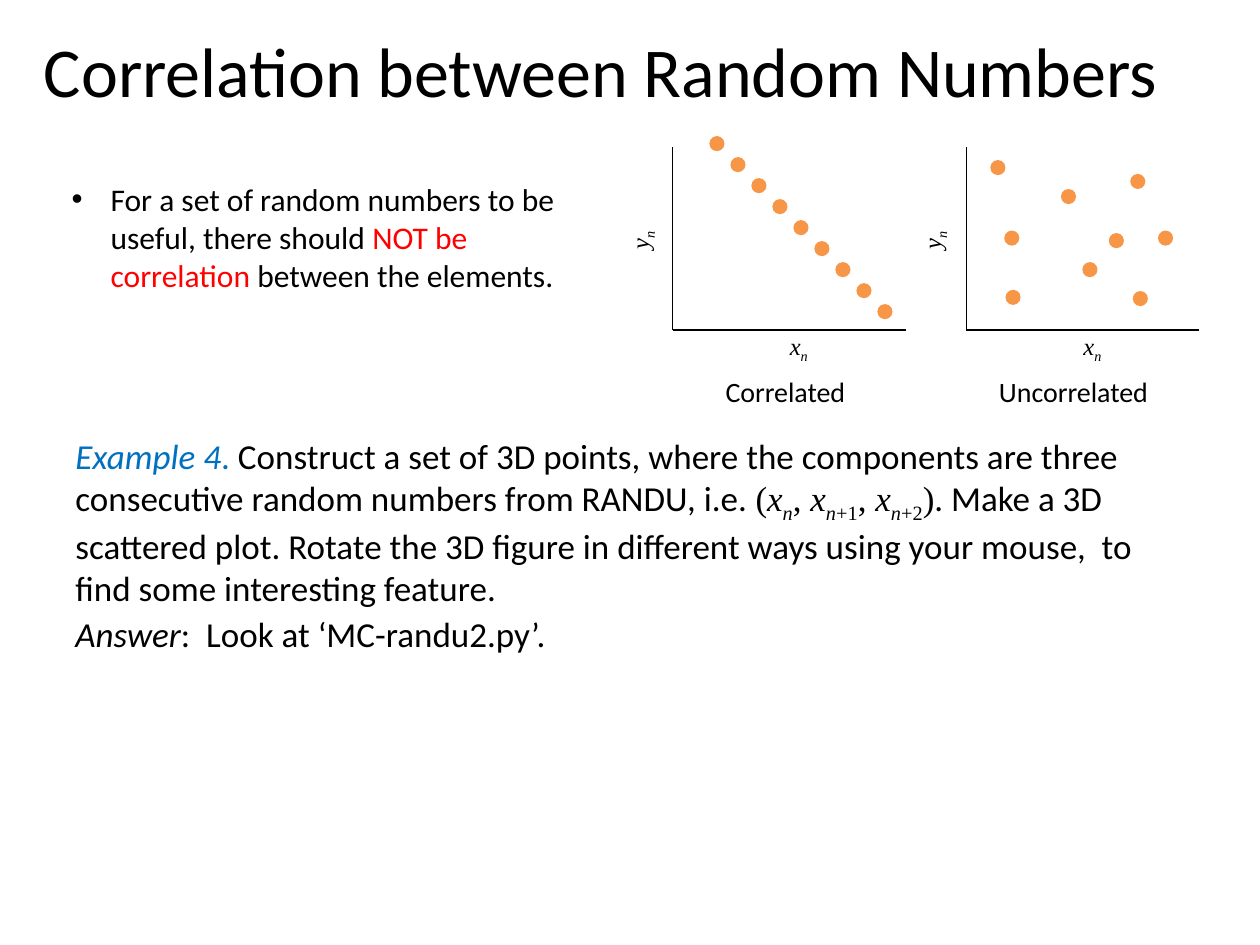
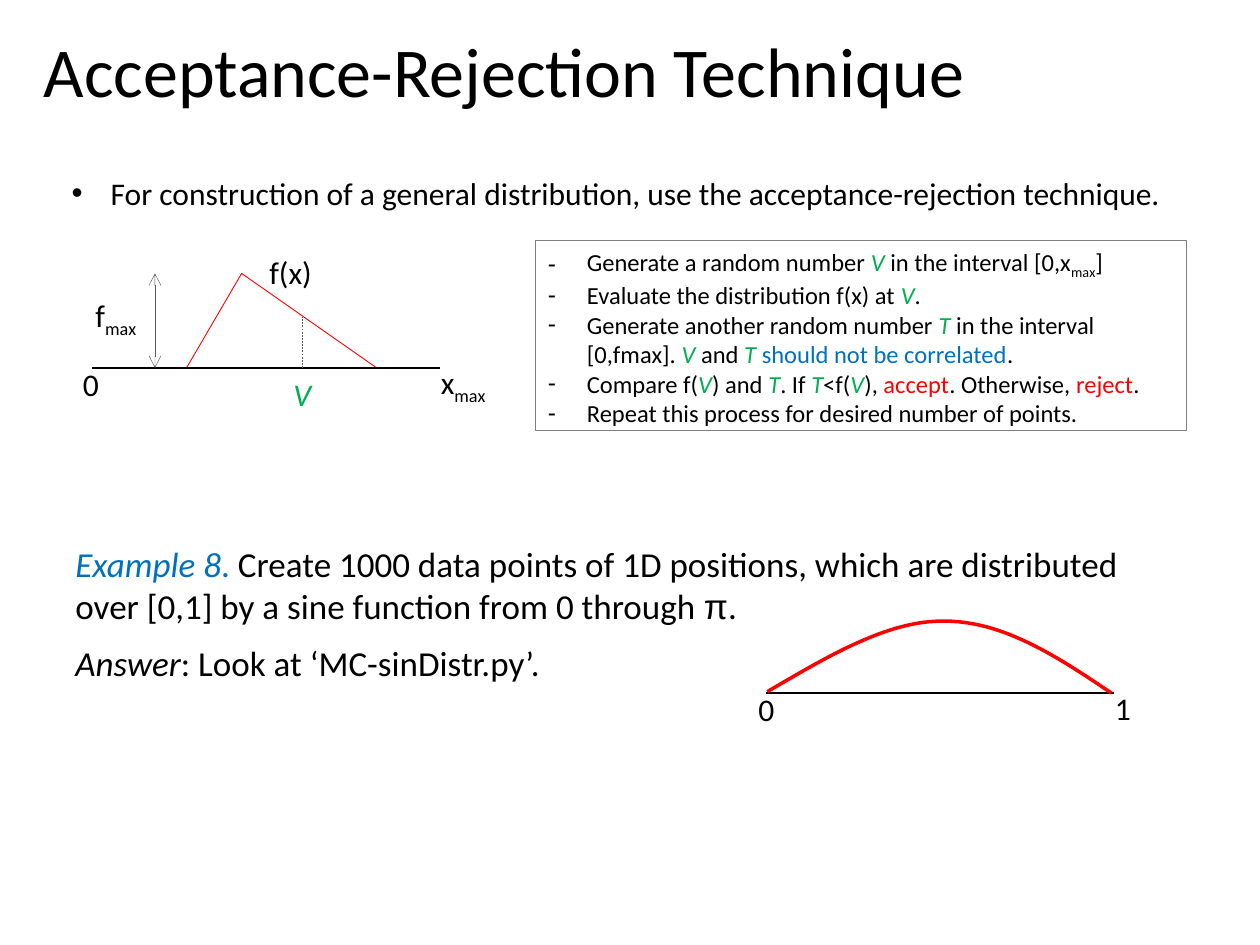
"""Build two lecture slides on random-number correlation and acceptance-rejection sampling."""
from dataclasses import dataclass

from lxml.etree import SubElement
from pptx import Presentation
from pptx.dml.color import RGBColor
from pptx.enum.dml import MSO_LINE
from pptx.enum.shapes import MSO_CONNECTOR, MSO_SHAPE
from pptx.enum.text import MSO_ANCHOR, MSO_AUTO_SIZE, PP_ALIGN
from pptx.oxml.ns import qn
from pptx.util import Inches, Pt


@dataclass(frozen=True)
class Theme:
    black: str = "000000"
    red: str = "FF0000"
    blue: str = "0070C0"
    green: str = "00B050"
    orange: str = "F79646"
    dark_gray: str = "595959"
    gray: str = "808080"
    body_font: str = "Calibri"
    math_font: str = "Times New Roman"
    symbol_font: str = "Arial"
    title_size: int = 40
    example_size: int = 20
    bullet_size: int = 18
    caption_size: int = 16
    small_size: int = 14
    bullet_indent: float = 0.31
    dot_size: float = 0.12


THEME = Theme()
STYLES = {
    "italic": {"italic": True},
    "math": {"name": THEME.math_font},
    "symbol": {"name": THEME.symbol_font},
    "sub": {"baseline": "-25000"},
    "red": {"color": THEME.red},
    "blue": {"color": THEME.blue},
    "variable": {"italic": True, "color": THEME.green},
}

TITLE_BOX = (0.25, 0.17, 9.25, 1.17)
V, T = ("V", "variable"), ("T", "variable")
MATH_X, MATH_N = ("x", "math italic"), ("n", "math italic sub")

CORRELATION_TITLE = "Correlation between Random Numbers"
CORRELATION_BULLET = [
    "For a set of random numbers to be useful, there should ",
    ("NOT be correlation", "red"),
    " between the elements.",
]
RANDU_EXAMPLE = [
    ("Example 4", "blue italic"), (". ", "blue"),
    "Construct a set of 3D points, where the components are three consecutive "
    "random numbers from RANDU, i.e. ",
    ("(", "math"), MATH_X, MATH_N, (", ", "math"),
    MATH_X, MATH_N, ("+1", "math sub"), (", ", "math"),
    MATH_X, MATH_N, ("+2", "math sub"), (")", "math"),
    ". Make a 3D scattered plot. Rotate the 3D figure in different ways using "
    "your mouse,  to find some interesting feature.",
]
RANDU_ANSWER = [("Answer", "italic"), ":  Look at ‘MC-randu2.py’."]
SCATTER_PLOTS = [
    {"caption": "Correlated", "caption_box": (5.66, 2.92, 1.22, 0.37), "origin": 5.34,
     "y_label_left": 4.9,
     "dots": [(5.63 + step / 6, 1.08 + step / 6) for step in range(9)]},
    {"caption": "Uncorrelated", "caption_box": (7.83, 2.92, 1.45, 0.37), "origin": 7.67,
     "y_label_left": 7.22,
     "dots": [(7.86, 1.27), (7.97, 1.83), (8.42, 1.5), (7.98, 2.3), (8.59, 2.08),
              (8.97, 1.38), (9.19, 1.83), (8.8, 1.85), (8.99, 2.31)]},
]
AXIS_TOP, AXIS_BOTTOM, AXIS_LENGTH = 1.17, 2.62, 1.85

TECHNIQUE_TITLE = "Acceptance-Rejection Technique"
TECHNIQUE_BULLET = [
    "For construction of a general distribution, use the acceptance-rejection technique.",
]
TECHNIQUE_STEPS = [
    ["Generate a random number ", V, " in the interval [0,x", ("max", "sub"), "]"],
    ["Evaluate the distribution f(x) at ", V, "."],
    ["Generate another random number ", T, " in the interval [0,fmax]. ", V, " and ",
     ("T ", "variable"), ("should not be correlated", "blue"), "."],
    ["Compare f(", V, ") and ", T, ". If ", T, "<f(", V, "), ", ("accept", "red"),
     ". Otherwise, ", ("reject", "red"), "."],
    ["Repeat this process for desired number of points."],
]
DIAGRAM_LABELS = [
    (["0"], (0.56, 2.85, 0.33, 0.4)),
    (["x", ("max", "sub")], (3.4, 2.83, 0.6, 0.4)),
    (["f", ("max", "sub")], (0.66, 2.3, 0.57, 0.4)),
    (["f(x)"], (2.04, 1.96, 0.54, 0.4)),
    ([V], (2.23, 2.93, 0.35, 0.4)),
    (["0"], (5.92, 5.43, 0.33, 0.4)),
    (["1"], (8.75, 5.42, 0.33, 0.4)),
]
SINE_EXAMPLE = [
    ("Example 8", "blue italic"), (". ", "blue"),
    "Create 1000 data points of 1D positions, which are distributed over [0,1] "
    "by a sine function from 0 through ",
    ("π", "symbol"), ".",
]
SINE_ANSWER = [("Answer", "italic"), ": Look at ‘MC-sinDistr.py’."]
SINE_ARCS = [
    ((6.09, 5.49), (6.57, 5.21), (7.05, 4.92), (7.5, 4.93)),
    ((7.5, 4.93), (7.96, 4.93), (8.39, 5.21), (8.82, 5.5)),
]


def inches(values):
    return [Inches(value) for value in values]


def format_run(run, size, style_names):
    values = {"name": THEME.body_font, "size": Pt(size), "italic": False, "color": THEME.black}
    for style_name in style_names.split():
        values.update(STYLES[style_name])
    for attribute, value in values.items():
        if attribute == "color":
            run.font.color.rgb = RGBColor.from_string(value)
        elif attribute == "baseline":
            run._r.get_or_add_rPr().set("baseline", value)
        else:
            setattr(run.font, attribute, value)


def add_bullet(paragraph, character):
    properties = paragraph._p.get_or_add_pPr()
    properties.set("marL", str(Inches(THEME.bullet_indent)))
    properties.set("indent", str(-Inches(THEME.bullet_indent)))
    SubElement(properties, qn("a:buFont")).set("typeface", THEME.symbol_font)
    SubElement(properties, qn("a:buChar")).set("char", character)


def write_text(shape, paragraphs, size, wrap=True, bullet=None):
    frame = shape.text_frame
    settings = {"word_wrap": wrap, "vertical_anchor": MSO_ANCHOR.TOP,
                "auto_size": MSO_AUTO_SIZE.NONE if wrap else MSO_AUTO_SIZE.SHAPE_TO_FIT_TEXT}
    for attribute, value in settings.items():
        setattr(frame, attribute, value)
    for index, runs in enumerate(paragraphs):
        paragraph = frame.add_paragraph() if index else frame.paragraphs[0]
        paragraph.alignment = PP_ALIGN.LEFT
        if bullet:
            add_bullet(paragraph, bullet)
        for item in runs:
            text, style_names = (item, "") if isinstance(item, str) else item
            run = paragraph.add_run()
            run.text = text
            format_run(run, size, style_names)


def add_text(slide, runs, box, size, rotation=0, **options):
    shape = slide.shapes.add_textbox(*inches(box))
    shape.rotation = rotation
    write_text(shape, [runs], size, **options)


def style_outline(shape, color, width):
    shape.line.color.rgb = RGBColor.from_string(color)
    shape.line.width = Pt(width)


def add_line(slide, start, end, color=THEME.black, width=0.75, dash=None, arrows=False):
    line = slide.shapes.add_connector(MSO_CONNECTOR.STRAIGHT, *inches(start + end))
    style_outline(line, color, width)
    if dash:
        line.line.dash_style = dash
    if arrows:
        for tag in ("a:headEnd", "a:tailEnd"):
            SubElement(line.line._get_or_add_ln(), qn(tag)).set("type", "arrow")
    SubElement(line._element.spPr, qn("a:effectLst"))


def add_outlined_shape(slide, kind, box, color, width):
    shape = slide.shapes.add_shape(kind, *inches(box))
    shape.shadow.inherit = False
    shape.fill.background()
    style_outline(shape, color, width)
    return shape


def add_dot(slide, left, top):
    dot = slide.shapes.add_shape(
        MSO_SHAPE.OVAL, *inches((left, top, THEME.dot_size, THEME.dot_size)))
    dot.shadow.inherit = False
    dot.fill.solid()
    dot.fill.fore_color.rgb = RGBColor.from_string(THEME.orange)
    dot.line.fill.background()


def add_scatter_plot(slide, plot):
    origin = (plot["origin"], AXIS_BOTTOM)
    add_line(slide, origin, (plot["origin"], AXIS_TOP))
    add_line(slide, origin, (plot["origin"] + AXIS_LENGTH, AXIS_BOTTOM))
    add_text(slide, [("y", "math italic"), MATH_N], (plot["y_label_left"], 1.73, 0.35, 0.34),
             THEME.small_size, rotation=270, wrap=False)
    add_text(slide, [MATH_X, MATH_N], (plot["origin"] + 0.83, 2.58, 0.35, 0.34),
             THEME.small_size, wrap=False)
    for left, top in plot["dots"]:
        add_dot(slide, left, top)
    add_text(slide, [plot["caption"]], plot["caption_box"], THEME.caption_size, wrap=False)


def arc_point(arc, t):
    weights = ((1 - t) ** 3, 3 * t * (1 - t) ** 2, 3 * t ** 2 * (1 - t), t ** 3)
    return tuple(sum(weight * point[axis] for weight, point in zip(weights, arc))
                 for axis in (0, 1))


def add_sine_curve(slide, steps=24):
    points = [inches(arc_point(arc, step / steps))
              for arc in SINE_ARCS for step in range(1, steps + 1)]
    builder = slide.shapes.build_freeform(*inches(SINE_ARCS[0][0]))
    builder.add_line_segments(points, close=False)
    curve = builder.convert_to_shape()
    curve.shadow.inherit = False
    curve.fill.background()
    style_outline(curve, THEME.red, 2)


def add_titled_slide(presentation, title):
    slide = presentation.slides.add_slide(presentation.slide_layouts[6])
    add_text(slide, [title], TITLE_BOX, THEME.title_size)
    return slide


def build_correlation_slide(presentation):
    slide = add_titled_slide(presentation, CORRELATION_TITLE)
    add_text(slide, RANDU_EXAMPLE, (0.5, 3.4, 8.92, 1.45), THEME.example_size)
    add_text(slide, RANDU_ANSWER, (0.5, 4.81, 9, 0.44), THEME.example_size)
    add_text(slide, CORRELATION_BULLET, (0.47, 1.38, 4.46, 1.01), THEME.bullet_size, bullet="•")
    for plot in SCATTER_PLOTS:
        add_scatter_plot(slide, plot)


def build_technique_slide(presentation):
    slide = add_titled_slide(presentation, TECHNIQUE_TITLE)
    add_text(slide, TECHNIQUE_BULLET, (0.47, 1.33, 8.95, 0.4), THEME.bullet_size, bullet="•")
    distribution = add_outlined_shape(
        slide, MSO_SHAPE.ISOSCELES_TRIANGLE, (1.48, 2.17, 1.51, 0.75), THEME.red, 0.5)
    distribution.adjustments[0] = 0.29
    add_line(slide, (0.73, 2.92), (3.49, 2.92))
    add_line(slide, (1.23, 2.92), (1.23, 2.17), THEME.dark_gray, 0.25, arrows=True)
    add_line(slide, (2.4, 2.92), (2.4, 2.52), THEME.dark_gray, 0.25, dash=MSO_LINE.DASH)
    steps_box = add_outlined_shape(
        slide, MSO_SHAPE.RECTANGLE, (4.25, 1.91, 5.17, 1.51), THEME.gray, 0.75)
    write_text(steps_box, TECHNIQUE_STEPS, THEME.small_size, bullet="-")
    add_text(slide, SINE_EXAMPLE, (0.5, 4.26, 8.92, 0.77), THEME.example_size)
    add_line(slide, (6.08, 5.5), (8.84, 5.5))
    for runs, box in DIAGRAM_LABELS:
        add_text(slide, runs, box, THEME.bullet_size, wrap=False)
    add_sine_curve(slide)
    add_text(slide, SINE_ANSWER, (0.5, 5.04, 9, 0.44), THEME.example_size)


def main():
    presentation = Presentation()
    presentation.slide_width, presentation.slide_height = inches((10, 7.5))
    build_correlation_slide(presentation)
    build_technique_slide(presentation)
    presentation.save("out.pptx")


if __name__ == "__main__":
    main()
